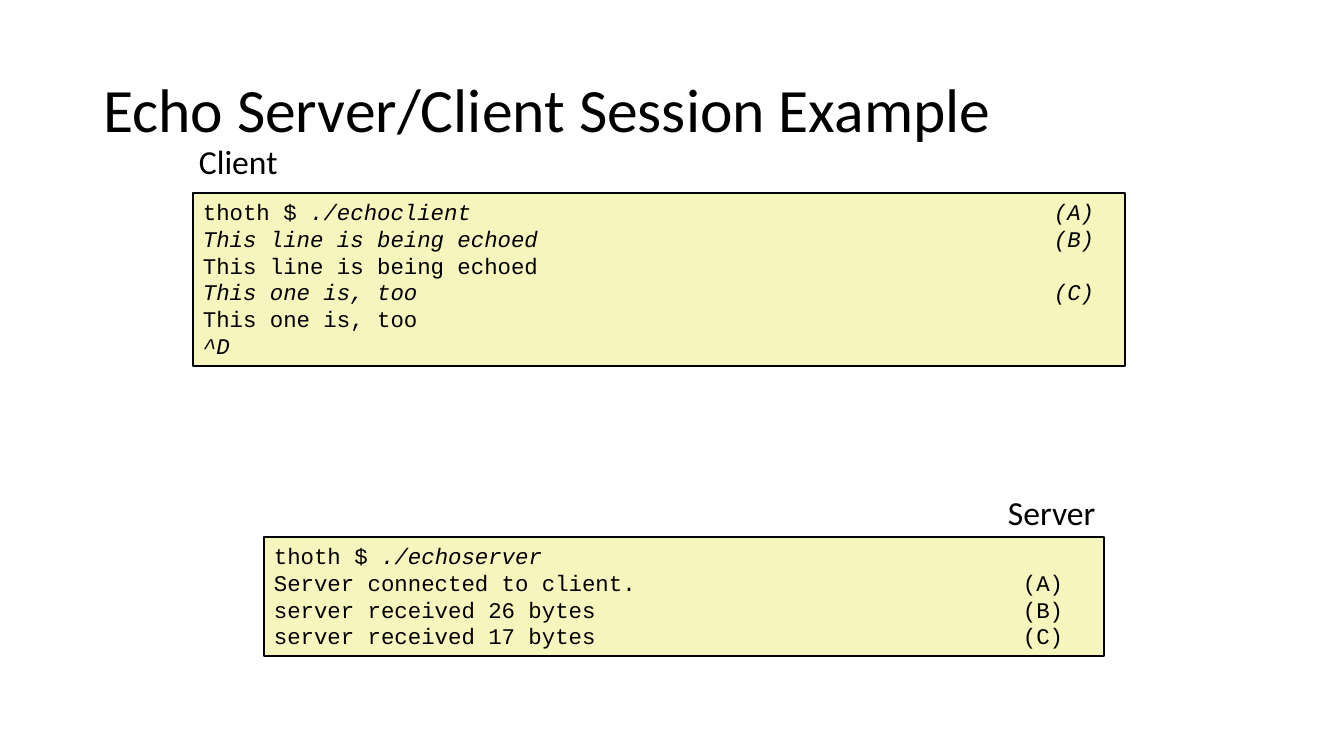
from dataclasses import dataclass

from lxml.etree import SubElement
from pptx import Presentation
from pptx.dml.color import RGBColor
from pptx.enum.shapes import MSO_SHAPE
from pptx.enum.text import MSO_ANCHOR, MSO_AUTO_SIZE, PP_ALIGN
from pptx.oxml.ns import qn
from pptx.util import Emu, Pt

PIXEL = 914400 / 100.8


@dataclass(frozen=True)
class Theme:
    """Colours, fonts and type sizes of the slide."""
    ink: RGBColor = RGBColor(0x00, 0x00, 0x00)
    paper: RGBColor = RGBColor(0xF6, 0xF5, 0xBD)
    text_font: str = "Calibri"
    code_font: str = "Courier New"
    title_size: int = 44
    label_size: int = 24
    code_size: int = 16
    border: int = 1


THEME = Theme()

CLIENT_SESSION = [
    [("thoth $ ", False), ("./echoclient\t(A)", True)],
    [("This line is being echoed\t(B)", True)],
    [("This line is being echoed", False)],
    [("This one is, too\t(C)", True)],
    [("This one is, too", False)],
    [("^D", True)],
]
SERVER_SESSION = [
    [("thoth $ ", False), ("./echoserver", True)],
    [("Server connected to client.\t(A)", False)],
    [("server received 26 bytes\t(B)", False)],
    [("server received 17 bytes\t(C)", False)],
]


def px(length):
    """Turn whole pixels into EMU."""
    return Emu(round(length * PIXEL))


def add_span(para, text, font, size, italic=False):
    """Add one formatted run to a paragraph."""
    span = para.add_run()
    span.text = text
    span.font.name = font
    span.font.size = Pt(size)
    span.font.italic = italic
    span.font.color.rgb = THEME.ink


def add_tab_stop(para, position):
    """Give a paragraph one left tab stop."""
    properties = para._p.get_or_add_pPr()
    tabs = SubElement(properties, qn("a:tabLst"))
    SubElement(tabs, qn("a:tab"), pos=str(px(position)), algn="l")


def set_title(page, text, left, top, width, height):
    """Place and fill the title placeholder."""
    title = page.shapes.title
    title.left, title.top, title.width, title.height = map(px, (left, top, width, height))
    title.text_frame.vertical_anchor = MSO_ANCHOR.MIDDLE
    para = title.text_frame.paragraphs[0]
    para.alignment = PP_ALIGN.LEFT
    para.line_spacing = 0.9
    add_span(para, text, THEME.text_font, THEME.title_size)


def add_label(page, text, left, top, width, height):
    """Add an unwrapped caption."""
    box = page.shapes.add_textbox(*map(px, (left, top, width, height)))
    box.text_frame.word_wrap = False
    box.text_frame.auto_size = MSO_AUTO_SIZE.SHAPE_TO_FIT_TEXT
    add_span(box.text_frame.paragraphs[0], text, THEME.text_font, THEME.label_size)


def add_terminal(page, session, tab, left, top, width, height):
    """Add a terminal box with step marks at a tab stop."""
    box = page.shapes.add_shape(MSO_SHAPE.RECTANGLE, *map(px, (left, top, width, height)))
    box.shadow.inherit = False
    box.fill.solid()
    box.fill.fore_color.rgb = THEME.paper
    box.line.color.rgb = THEME.ink
    box.line.width = Pt(THEME.border)
    frame = box.text_frame
    frame.word_wrap = True
    frame.auto_size = MSO_AUTO_SIZE.SHAPE_TO_FIT_TEXT
    frame.vertical_anchor = MSO_ANCHOR.TOP
    for index, line in enumerate(session):
        para = frame.add_paragraph() if index else frame.paragraphs[0]
        para.alignment = PP_ALIGN.LEFT
        add_tab_stop(para, tab)
        for text, italic in line:
            add_span(para, text, THEME.code_font, THEME.code_size, italic)


def main():
    """Build and save the slide."""
    deck = Presentation()
    deck.slide_width, deck.slide_height = px(1344), px(756)
    page = deck.slides.add_slide(deck.slide_layouts[5])
    set_title(page, "Echo Server/Client Session Example", 93, 40, 1159, 146)
    add_terminal(page, SERVER_SESSION, 749, 264, 537, 840, 119)
    add_terminal(page, CLIENT_SESSION, 851, 193, 193, 932, 173)
    add_label(page, "Client", 189, 136, 100, 50)
    add_label(page, "Server", 998, 487, 109, 50)
    deck.save("out.pptx")


main()
